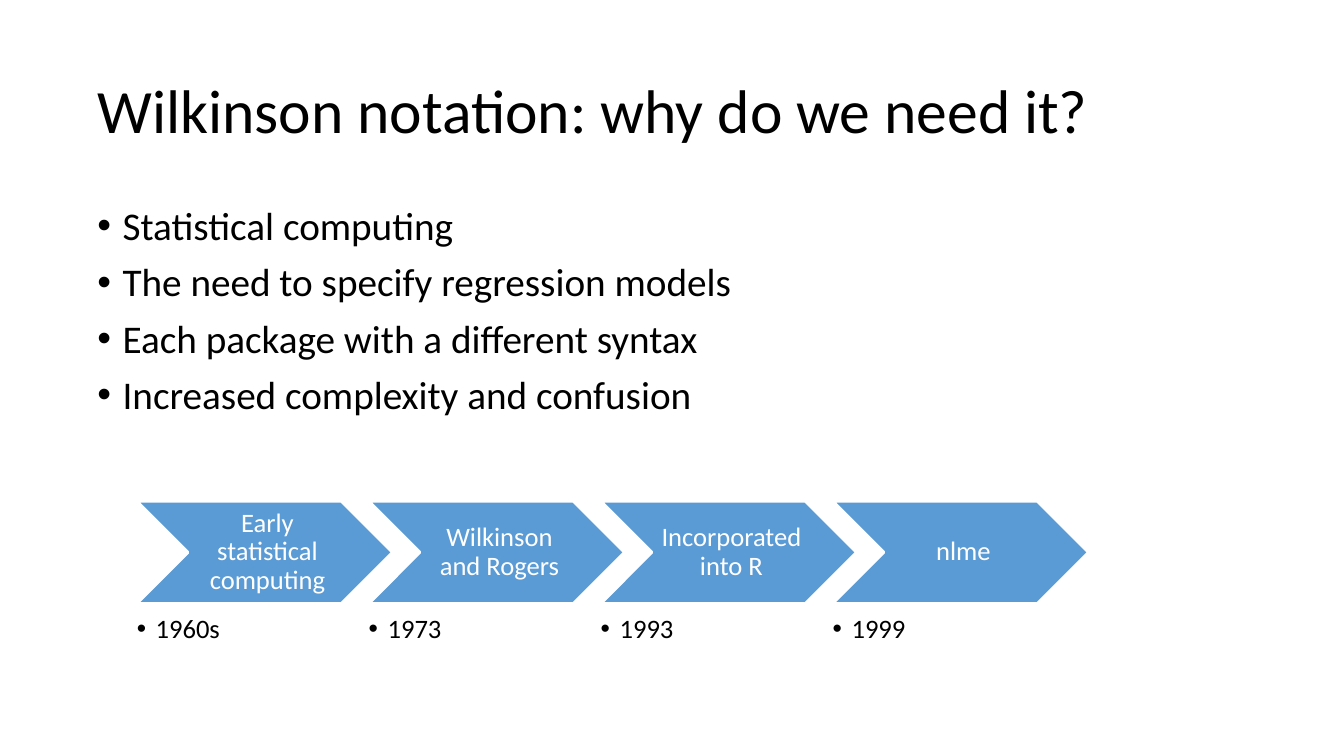
"""Build a slide on the need for Wilkinson notation, with a timeline."""
import pptx
import pptx.dml.color
import pptx.enum.shapes
import pptx.enum.text
import pptx.util
import lxml.etree
import pptx.oxml.ns

Pt = pptx.util.Pt
ALIGN = pptx.enum.text.PP_ALIGN
ANCHOR = pptx.enum.text.MSO_ANCHOR

TITLE = "Wilkinson notation: why do we need it?"
REASONS = [
    "Statistical computing",
    "The need to specify regression models",
    "Each package with a different syntax",
    "Increased complexity and confusion",
]
TIMELINE = [
    ("Early statistical computing", "1960s"),
    ("Wilkinson and Rogers", "1973"),
    ("Incorporated into R", "1993"),
    ("nlme", "1999"),
]
COLORS = {"text": "000000", "light": "FFFFFF", "chevron": "5B9BD5"}
FONT = "Calibri"

TITLE_BOX = (66, 28.8, 828, 104.4)
REASONS_BOX = (66, 144, 497.5, 174)
STEP_LEFT, STEP_PITCH = 97.7, 165.7
CHEVRON_TOP, CHEVRON_W, CHEVRON_H = 358, 182.7, 73.1
DATE_TOP, DATE_W, DATE_H = 439.9, 146.2, 26.6


def rgb(name):
    return pptx.dml.color.RGBColor.from_string(COLORS[name])


def apply(obj, formats):
    for name, value in formats.items():
        setattr(obj, name, value)


def place(sp, box):
    names = ("left", "top", "width", "height")
    apply(sp, dict(zip(names, map(Pt, box))))


def add_bullet(p, indent):
    pPr = p._p.get_or_add_pPr()
    pPr.set("marL", str(Pt(indent)))
    pPr.set("indent", str(-Pt(indent)))
    font = lxml.etree.SubElement(pPr, pptx.oxml.ns.qn("a:buFont"))
    font.set("typeface", "Arial")
    bullet = lxml.etree.SubElement(pPr, pptx.oxml.ns.qn("a:buChar"))
    bullet.set("char", "•")


def write(sp, lines, size, color="text", align=ALIGN.LEFT, anchor=ANCHOR.TOP,
          insets=(3.6, 3.6, 3.6, 3.6), before=0, indent=0):
    tf = sp.text_frame
    apply(tf, {"word_wrap": True, "vertical_anchor": anchor,
               "auto_size": pptx.enum.text.MSO_AUTO_SIZE.NONE})
    sides = ("margin_left", "margin_top", "margin_right", "margin_bottom")
    apply(tf, dict(zip(sides, map(Pt, insets))))
    for i, line in enumerate(lines):
        p = tf.add_paragraph() if i else tf.paragraphs[0]
        apply(p, {"alignment": align, "line_spacing": 0.9,
                  "space_before": Pt(before)})
        if indent:
            add_bullet(p, indent)
        r = p.add_run()
        r.text = line
        apply(r.font, {"name": FONT, "size": Pt(size)})
        r.font.color.rgb = rgb(color)


def add_step(s, left, label, date):
    box = map(Pt, (left, CHEVRON_TOP, CHEVRON_W, CHEVRON_H))
    sp = s.shapes.add_shape(pptx.enum.shapes.MSO_SHAPE.CHEVRON, *box)
    sp.shadow.inherit = False
    sp.fill.solid()
    sp.fill.fore_color.rgb = rgb("chevron")
    sp.line.color.rgb = rgb("light")
    sp.line.width = Pt(2)
    write(sp, [label], 19, "light", ALIGN.CENTER, ANCHOR.MIDDLE,
          insets=(6, 2, 2, 2))
    box = map(Pt, (left, DATE_TOP, DATE_W, DATE_H))
    write(s.shapes.add_textbox(*box), [date], 19,
          insets=(0, 0, 0, 0), indent=13.5)


def main():
    prs = pptx.Presentation()
    apply(prs, {"slide_width": Pt(960), "slide_height": Pt(540)})
    s = prs.slides.add_slide(prs.slide_layouts.get_by_name("Title Only"))
    place(s.shapes.title, TITLE_BOX)
    write(s.shapes.title, [TITLE], 44, anchor=ANCHOR.MIDDLE)
    reasons = s.shapes.add_textbox(*map(Pt, REASONS_BOX))
    write(reasons, REASONS, 28, before=10, indent=18)
    for i, (label, date) in enumerate(TIMELINE):
        add_step(s, STEP_LEFT + i * STEP_PITCH, label, date)
    prs.save("out.pptx")


if __name__ == "__main__":
    main()
